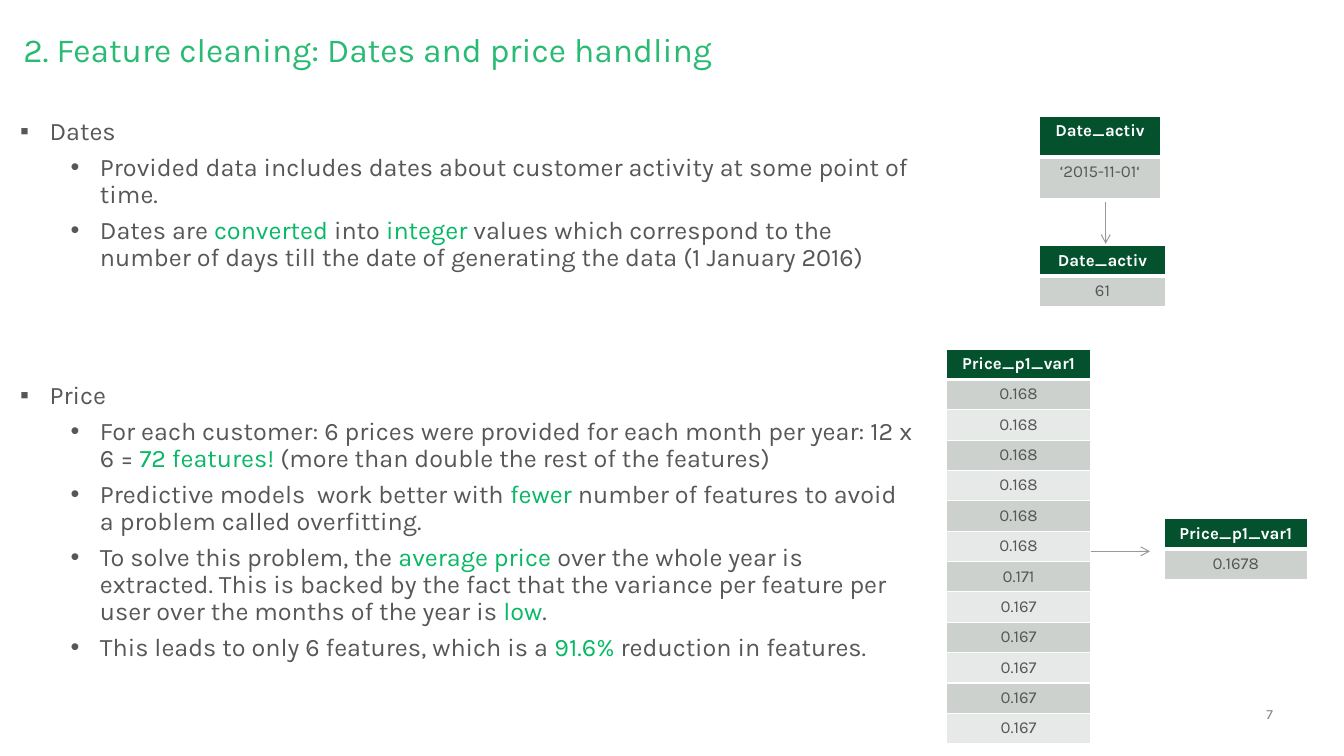
"""Builds the slide on cleaning date and price features."""
from lxml.etree import SubElement
from pptx import Presentation
from pptx.dml.color import RGBColor
from pptx.enum.shapes import MSO_CONNECTOR as Connector
from pptx.enum.text import MSO_ANCHOR as Anchor, MSO_AUTO_SIZE as AutoSize, PP_ALIGN as Align
from pptx.oxml.ns import qn
from pptx.util import Pt

COLORS = {
    "title": "29BA74", "text": "575757", "accent": "07B865", "number": "808080",
    "header": "03522D", "dark_row": "CCD1CD", "light_row": "E7E9E8",
    "arrow": "9A9A9A", "white": "FFFFFF",
}
BULLETS = [("▪", 21), ("•", 57)]
HANGING = 21
ROW_HEIGHT = 21.7


class FeatureSlide:
    def __init__(self, slide, font="Karla"):
        self.slide = slide
        self.font = font

    def color(self, name):
        return RGBColor.from_string(COLORS[name])

    def place(self, shape, left, top, width, height):
        shape.left, shape.top, shape.width, shape.height = map(Pt, (left, top, width, height))

    def frame(self, shape, anchor=Anchor.TOP):
        frame = shape.text_frame
        frame.word_wrap = True
        frame.auto_size = AutoSize.NONE
        frame.vertical_anchor = anchor
        frame.margin_left = frame.margin_right = frame.margin_top = frame.margin_bottom = 0
        return frame

    def run(self, paragraph, text, size, color, bold=False):
        run = paragraph.add_run()
        run.text = text
        run.font.name, run.font.size, run.font.bold = self.font, Pt(size), bold
        run.font.color.rgb = self.color(color)

    def title(self, text, *box):
        title = self.slide.shapes.title
        self.place(title, *box)
        line = self.frame(title).paragraphs[0]
        line.alignment = Align.LEFT
        line.line_spacing = 0.9
        self.run(line, text, 24, "title")

    def bullets(self, index, points, *box):
        """Fill a body placeholder; text between bars is highlighted."""
        body = self.slide.placeholders[index]
        self.place(body, *box)
        frame = self.frame(body)
        for number, point in enumerate(points):
            line = frame.add_paragraph() if number else frame.paragraphs[0]
            line.level = min(number, 1)
            line.line_spacing = 0.9
            line.space_before, line.space_after = Pt(0), Pt(6)
            mark, indent = BULLETS[line.level]
            properties = line._p.get_or_add_pPr()
            properties.set("marL", str(Pt(indent)))
            properties.set("indent", str(Pt(-HANGING)))
            SubElement(properties, qn("a:buChar")).set("char", mark)
            for part, text in enumerate(point.split("|")):
                self.run(line, text, 18, "accent" if part % 2 else "text")

    def label(self, text, *box):
        label = self.slide.shapes.add_textbox(*map(Pt, box))
        line = self.frame(label, Anchor.BOTTOM).paragraphs[0]
        line.alignment = Align.RIGHT
        self.run(line, text, 10, "number")

    def border(self, cell, side, width):
        line = SubElement(cell._tc.get_or_add_tcPr(), qn("a:ln" + side), w=str(Pt(width)))
        fill = SubElement(line, qn("a:solidFill"))
        SubElement(fill, qn("a:srgbClr")).set("val", COLORS["white"])

    def column(self, header, values, left, top, width, row_height=ROW_HEIGHT):
        """Add a one-column table with a header over banded values."""
        texts = [header, *values]
        size = (left, top, width, row_height * len(texts))
        table = self.slide.shapes.add_table(len(texts), 1, *map(Pt, size)).table
        for row, text in enumerate(texts):
            table.rows[row].height = Pt(row_height)
            cell = table.cell(row, 0)
            for side in "LRTB":
                below_header = (row, side) in [(0, "B"), (1, "T")]
                self.border(cell, side, 3 if below_header else 1)
            band = "dark_row" if row % 2 else "light_row"
            cell.fill.solid()
            cell.fill.fore_color.rgb = self.color(band if row else "header")
            line = cell.text_frame.paragraphs[0]
            line.alignment = Align.CENTER
            self.run(line, text, 12, "text" if row else "white", bold=not row)

    def arrow(self, *ends):
        arrow = self.slide.shapes.add_connector(Connector.STRAIGHT, *map(Pt, ends))
        arrow.line.color.rgb = self.color("arrow")
        arrow.line.width = Pt(0.75)
        SubElement(arrow.line._get_or_add_ln(), qn("a:tailEnd")).set("type", "arrow")
        SubElement(arrow._element.spPr, qn("a:effectLst"))


deck = Presentation()
deck.slide_width, deck.slide_height = Pt(960), Pt(540)
page = FeatureSlide(deck.slides.add_slide(deck.slide_layouts[3]))

page.title("2. Feature cleaning: Dates and price handling", 16.6, 23.8, 861, 26)
page.bullets(1, [
    "Dates",
    "Provided data includes dates about customer activity at some point of time.",
    "Dates are |converted| into |integer |values which correspond to the number of days "
    "till the date of generating the data (1 January 2016)",
], 14.4, 85, 636, 110)
page.bullets(2, [
    "Price",
    "For each customer: 6 prices were provided for each month per year: 12 x 6 = "
    "|72 features! |(more than double the rest of the features)",
    "Predictive models  work better with| fewer |number of features to avoid a problem "
    "called overfitting. ",
    "To solve this problem, the |average price |over the whole year is extracted. This is "
    "backed by the fact that the variance per feature per user over the months of the year "
    "is |low|.",
    "This leads to only 6 features, which is a |91.6% |reduction in features.",
], 14.4, 273.6, 640, 201)

page.column("Date_activ", ["‘2015-11-01‘"], 742.5, 83, 86.4, 29.3)
page.column("Date_activ", ["61"], 742.5, 175.5, 90)
page.arrow(789.8, 144, 789.8, 174.2)

monthly_prices = ["0.168"] * 6 + ["0.171"] + ["0.167"] * 5
page.column("Price_p1_var1", monthly_prices, 676.3, 249.3, 102.6)
page.arrow(779, 393.8, 821.5, 393.8)
page.column("Price_p1_var1", ["0.1678"], 831.4, 370.6, 102.6)
page.label("7", 879, 504, 30.2, 12.2)

deck.save("out.pptx")
